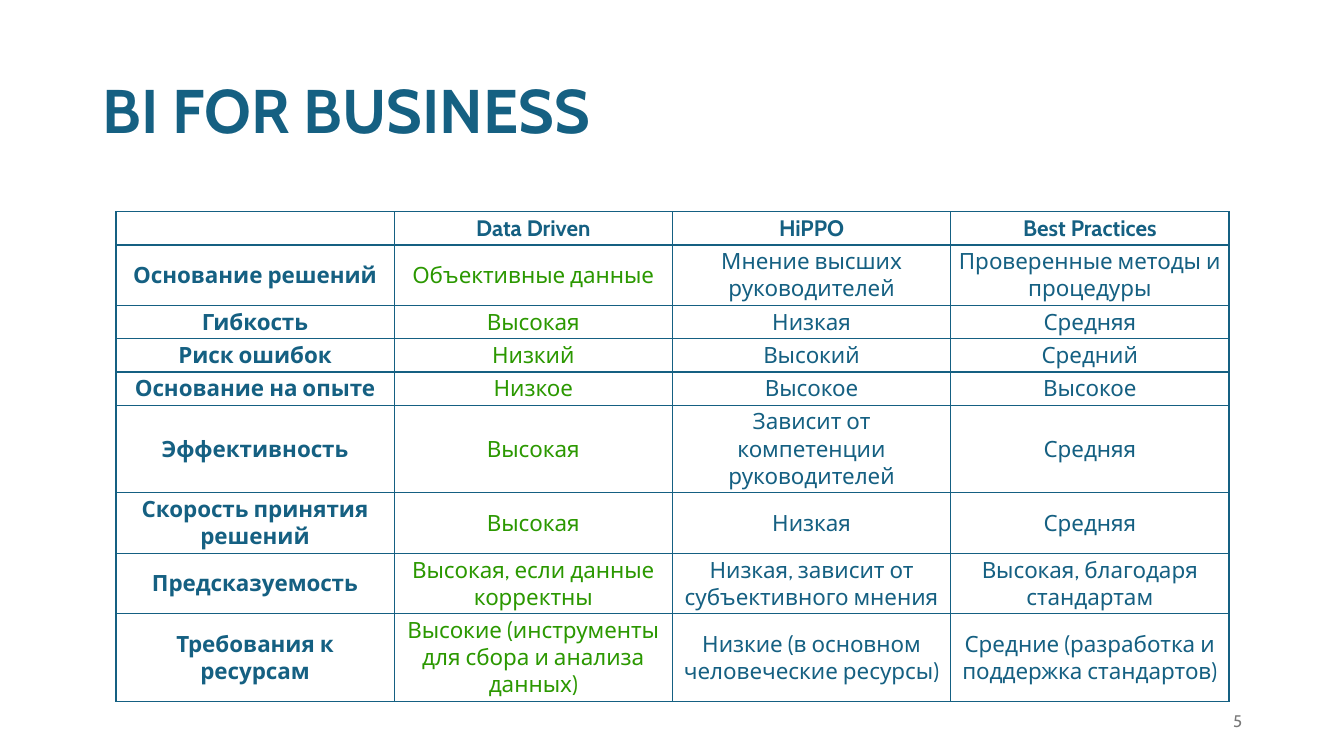
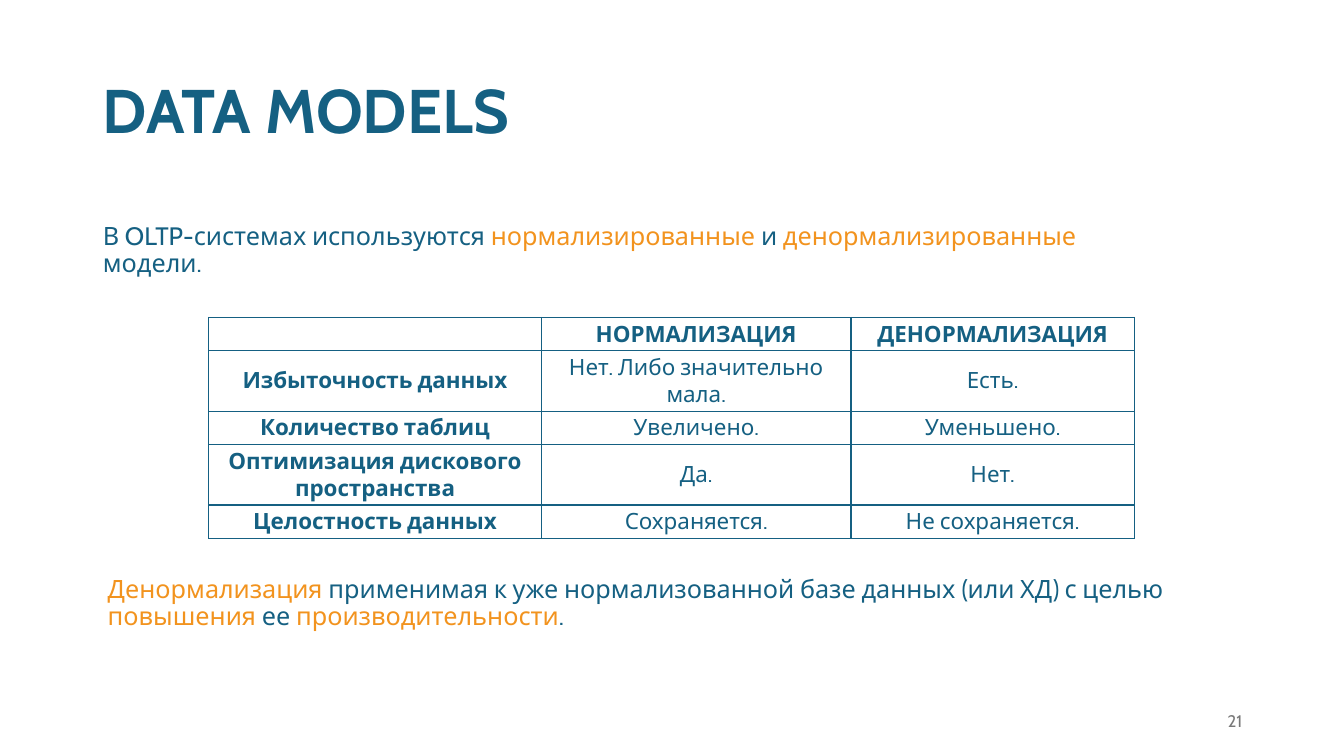
from lxml.etree import SubElement
from pptx import Presentation
from pptx.dml.color import RGBColor
from pptx.enum.text import MSO_ANCHOR, MSO_AUTO_SIZE, PP_ALIGN
from pptx.oxml.ns import qn
from pptx.util import Emu, Pt

# Shared look
FONT = "Cabin"
BLUE, GREEN, ORANGE, GREY = "156082", "2B9800", "F2931E", "797979"
TITLE = (92, 40, 1150, 145)
NUMBER = (942, 695, 300, 40)
LINE = 33

# Content
CHOICES = [
    ("", "Data Driven", "HiPPO", "Best Practices"),
    ("Основание решений", "Объективные данные",
     "Мнение высших руководителей", "Проверенные методы и процедуры"),
    ("Гибкость", "Высокая", "Низкая", "Средняя"),
    ("Риск ошибок", "Низкий", "Высокий", "Средний"),
    ("Основание на опыте", "Низкое", "Высокое", "Высокое"),
    ("Эффективность", "Высокая",
     "Зависит от компетенции руководителей", "Средняя"),
    ("Скорость принятия решений", "Высокая", "Низкая", "Средняя"),
    ("Предсказуемость", "Высокая, если данные корректны",
     "Низкая, зависит от субъективного мнения",
     "Высокая, благодаря стандартам"),
    ("Требования к ресурсам",
     "Высокие (инструменты для сбора и анализа данных)",
     "Низкие (в основном человеческие ресурсы)",
     "Средние (разработка и поддержка стандартов)"),
]
MODELS = [
    ("", "НОРМАЛИЗАЦИЯ", "ДЕНОРМАЛИЗАЦИЯ"),
    ("Избыточность данных", "Нет. Либо значительно мала.", "Есть."),
    ("Количество таблиц", "Увеличено.", "Уменьшено."),
    ("Оптимизация дискового пространства", "Да.", "Нет."),
    ("Целостность данных", "Сохраняется.", "Не сохраняется."),
]
INTRO = [
    ("В OLTP-системах используются ", BLUE), ("нормализированные", ORANGE),
    (" и ", BLUE), ("денормализированные", ORANGE), (" модели.", BLUE),
]
CLOSING = [
    ("Денормализация", ORANGE),
    (" применимая к уже нормализованной базе данных (или ХД) с целью ", BLUE),
    ("повышения", ORANGE), (" ее ", BLUE),
    ("производительности", ORANGE), (".", BLUE),
]


def px(n):
    return Emu(n * 9144)


def color(code):
    return RGBColor.from_string(code)


def place(shape, box):
    shape.left, shape.top, shape.width, shape.height = map(px, box)


def write(para, runs, size, bold=False, align=PP_ALIGN.LEFT):
    para.alignment = align
    for text, tone in runs:
        run = para.add_run()
        run.text = text
        font = run.font
        font.name, font.size, font.bold = FONT, Pt(size), bold
        font.color.rgb = color(tone)


def fill_box(shape, box, runs, size, anchor=MSO_ANCHOR.TOP, space=0.9, **look):
    place(shape, box)
    frame = shape.text_frame
    frame.word_wrap = True
    frame.auto_size = MSO_AUTO_SIZE.NONE
    frame.vertical_anchor = anchor
    para = frame.paragraphs[0]
    props = para._p.get_or_add_pPr()
    props.set("marL", "0")
    props.set("indent", "0")
    SubElement(props, qn("a:buNone"))
    para.line_spacing = space
    para.space_before = Pt(0)
    write(para, runs, size, **look)


def add_box(slide, box, *args, **look):
    shape = slide.shapes.add_textbox(*map(px, box))
    fill_box(shape, box, *args, **look)


def add_slide(deck, layout, title, number):
    slide = deck.slides.add_slide(deck.slide_layouts[layout])
    fill_box(slide.shapes.title, TITLE, [(title, BLUE)], 44,
             MSO_ANCHOR.MIDDLE, bold=True)
    add_box(slide, NUMBER, [(number, GREY)], 12, MSO_ANCHOR.MIDDLE, 1.0,
            align=PP_ALIGN.RIGHT)
    return slide


def border(cell):
    props = cell._tc.get_or_add_tcPr()
    for side in ("lnL", "lnR", "lnT", "lnB"):
        line = SubElement(props, qn(f"a:{side}"), w=str(Pt(1)))
        fill = SubElement(line, qn("a:solidFill"))
        SubElement(fill, qn("a:srgbClr"), val=BLUE)


def fill_cell(cell, text, tone, bold):
    border(cell)
    cell.fill.background()
    cell.margin_left = cell.margin_right = px(6)
    cell.margin_top = cell.margin_bottom = px(3)
    cell.vertical_anchor = MSO_ANCHOR.MIDDLE
    para = cell.text_frame.paragraphs[0]
    if text:
        write(para, [(text, tone)], 16, bold, PP_ALIGN.CENTER)
    else:
        end = SubElement(para._p, qn("a:endParaRPr"), sz="1600")
        SubElement(end, qn("a:latin"), typeface=FONT)


def add_grid(slide, left, top, cols, lines, data, accent=None):
    # Each further line of text makes a row 27 px taller
    rows = [LINE + 27 * (n - 1) for n in lines]
    frame = slide.shapes.add_table(
        len(rows), len(cols), *map(px, (left, top, sum(cols), sum(rows))))
    table = frame.table
    table.first_row = table.horz_banding = False
    for col, width in zip(table.columns, cols):
        col.width = px(width)
    for r, (height, texts) in enumerate(zip(rows, data)):
        table.rows[r].height = px(height)
        for c, text in enumerate(texts):
            head = r == 0 or c == 0
            tone = GREEN if c == accent and not head else BLUE
            fill_cell(table.cell(r, c), text, tone, head)


def main():
    deck = Presentation()
    deck.slide_width, deck.slide_height = px(1333), px(750)

    # Ways to decide
    slide = add_slide(deck, 5, "BI FOR BUSINESS", "5")
    add_grid(slide, 115, 210, [276] * 4, [1, 2, 1, 1, 1, 3, 2, 2, 3],
             CHOICES, accent=1)

    # Data models
    slide = add_slide(deck, 1, "DATA MODELS", "21")
    fill_box(slide.placeholders[1], (92, 217, 1011, 41), INTRO, 18)
    add_grid(slide, 207, 315, [330, 307, 281], [1, 2, 1, 2, 1], MODELS)
    add_box(slide, (97, 567, 1137, 90), CLOSING, 18)

    deck.save("out.pptx")


if __name__ == "__main__":
    main()
